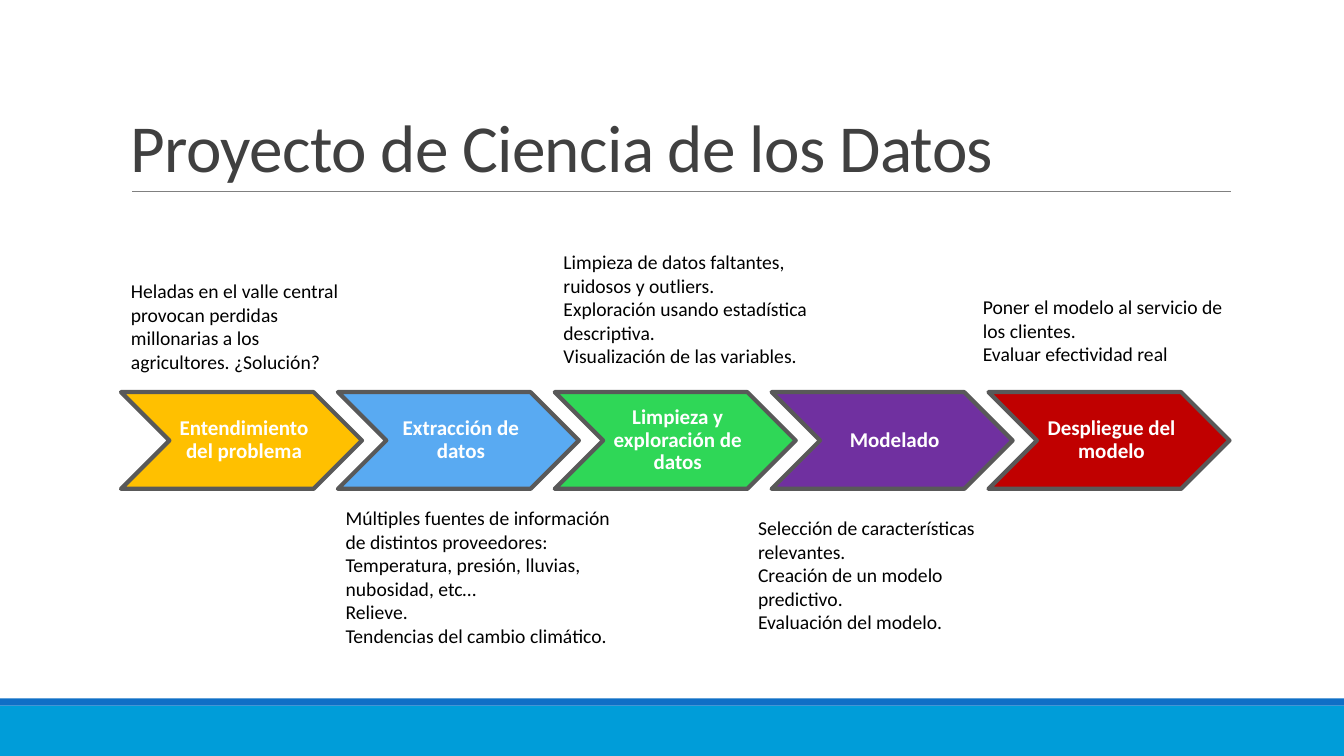
"""Build the slide on the five stages of a data science project."""
from pptx import Presentation
from pptx.dml.color import RGBColor
from pptx.enum.shapes import MSO_CONNECTOR, MSO_SHAPE
from pptx.enum.text import MSO_ANCHOR, PP_ALIGN
from pptx.oxml.xmlchemy import OxmlElement
from pptx.util import Inches, Pt

RECTANGLE, CHEVRON = MSO_SHAPE.RECTANGLE, MSO_SHAPE.CHEVRON
STRAIGHT = MSO_CONNECTOR.STRAIGHT
TOP, MIDDLE, BOTTOM = MSO_ANCHOR.TOP, MSO_ANCHOR.MIDDLE, MSO_ANCHOR.BOTTOM
LEFT, CENTER = PP_ALIGN.LEFT, PP_ALIGN.CENTER

WHITE = RGBColor(0xFF, 0xFF, 0xFF)
BLACK = RGBColor(0x00, 0x00, 0x00)
CHARCOAL = RGBColor(0x40, 0x40, 0x40)
OUTLINE_GRAY = RGBColor(0x59, 0x59, 0x59)
RULE_GRAY = RGBColor(0x80, 0x80, 0x80)
CYAN = RGBColor(0x00, 0x9D, 0xD9)
BLUE = RGBColor(0x0F, 0x6F, 0xC6)
AMBER = RGBColor(0xFF, 0xC0, 0x00)
SKY = RGBColor(0x59, 0xAA, 0xF2)
GREEN = RGBColor(0x2F, 0xD7, 0x57)
PURPLE = RGBColor(0x70, 0x30, 0xA0)
RED = RGBColor(0xC0, 0x00, 0x00)

WIDTH, HEIGHT = 13.33, 7.5
MARGIN = 1.2
STAGE_TOP, STAGE_WIDTH, STAGE_HEIGHT = 3.89, 2.39, 0.96
STAGE_PITCH = 0.9 * STAGE_WIDTH

TITLE_FONT = {"name": "Calibri", "size": Pt(48)}
STAGE_FONT = {"name": "Calibri", "size": Pt(15), "bold": True}
NOTE_FONT = {"name": "Calibri", "size": Pt(14)}

BANDS = [(7, 0.5, CYAN), (6.93, 0.07, BLUE)]

STAGES = [
    ("Entendimiento del problema", AMBER, (1.2, 2.72, 2.36, 1.04),
     ["Heladas en el valle central provocan perdidas millonarias a los "
      "agricultores. ¿Solución?"]),
    ("Extracción de datos", SKY, (3.33, 4.97, 2.93, 1.51),
     ["Múltiples fuentes de información de distintos proveedores:",
      "Temperatura, presión, lluvias, nubosidad, etc…",
      "Relieve.",
      "Tendencias del cambio climático."]),
    ("Limpieza y exploración de datos", GREEN, (5.49, 2.43, 2.74, 1.55),
     ["Limpieza de datos faltantes, ruidosos y outliers.",
      "Exploración usando estadística descriptiva.",
      "Visualización de las variables."]),
    ("Modelado", PURPLE, (7.42, 5.07, 2.74, 1.28),
     ["Selección de características relevantes.",
      "Creación de un modelo predictivo.",
      "Evaluación del modelo."]),
    ("Despliegue del modelo", RED, (9.65, 2.88, 2.74, 0.81),
     ["Poner el modelo al servicio de los clientes.",
      "Evaluar efectividad real"]),
]


def write(shape, lines, font, color, anchor=TOP, align=LEFT, spacing=1.0):
    """Fill a shape with one formatted paragraph per line."""
    frame = shape.text_frame
    frame.word_wrap = True
    frame.vertical_anchor = anchor
    frame.text = "\n".join(lines)
    for paragraph in frame.paragraphs:
        paragraph.alignment = align
        paragraph.line_spacing = spacing
        run = paragraph.runs[0]
        run.font.color.rgb = color
        for attribute, value in font.items():
            setattr(run.font, attribute, value)


def add_filled(preset, box, color):
    """Add a flat preset shape without outline or shadow."""
    shape = slide.shapes.add_shape(preset, *map(Inches, box))
    shape.shadow.inherit = False
    shape.fill.solid()
    shape.fill.fore_color.rgb = color
    shape.line.fill.background()
    return shape


deck = Presentation()
deck.slide_width, deck.slide_height = Inches(WIDTH), Inches(HEIGHT)
slide = deck.slides.add_slide(deck.slide_layouts[6])
slide.background.fill.solid()
slide.background.fill.fore_color.rgb = WHITE

for top, height, color in BANDS:
    add_filled(RECTANGLE, (0, top, WIDTH, height), color)

title_rule = slide.shapes.add_connector(
    STRAIGHT, *map(Inches, (1.31, 1.9, 12.21, 1.9)))
title_rule.line.color.rgb = RULE_GRAY
title_rule.line.width = Pt(0.5)
title_rule._element.spPr.append(OxmlElement("a:effectLst"))

title = slide.shapes.add_textbox(*map(Inches, (MARGIN, 0.31, 11, 1.59)))
write(title, ["Proyecto de Ciencia de los Datos"], TITLE_FONT, CHARCOAL,
      anchor=BOTTOM, spacing=0.85)
title.text_frame.paragraphs[0].runs[0].font._element.set("spc", "-50")

for index, (name, color, note_box, note_lines) in enumerate(STAGES):
    stage_left = MARGIN + index * STAGE_PITCH
    stage = add_filled(
        CHEVRON, (stage_left, STAGE_TOP, STAGE_WIDTH, STAGE_HEIGHT), color)
    stage.line.color.rgb = OUTLINE_GRAY
    stage.line.width = Pt(3)
    write(stage, [name], STAGE_FONT, WHITE, MIDDLE, CENTER, 0.9)
    insets = {"margin_left": 0.07, "margin_right": 0.02,
              "margin_top": 0.02, "margin_bottom": 0.02}
    for side, inset in insets.items():
        setattr(stage.text_frame, side, Inches(inset))

    note = slide.shapes.add_textbox(*map(Inches, note_box))
    write(note, note_lines, NOTE_FONT, BLACK)

deck.save("out.pptx")
